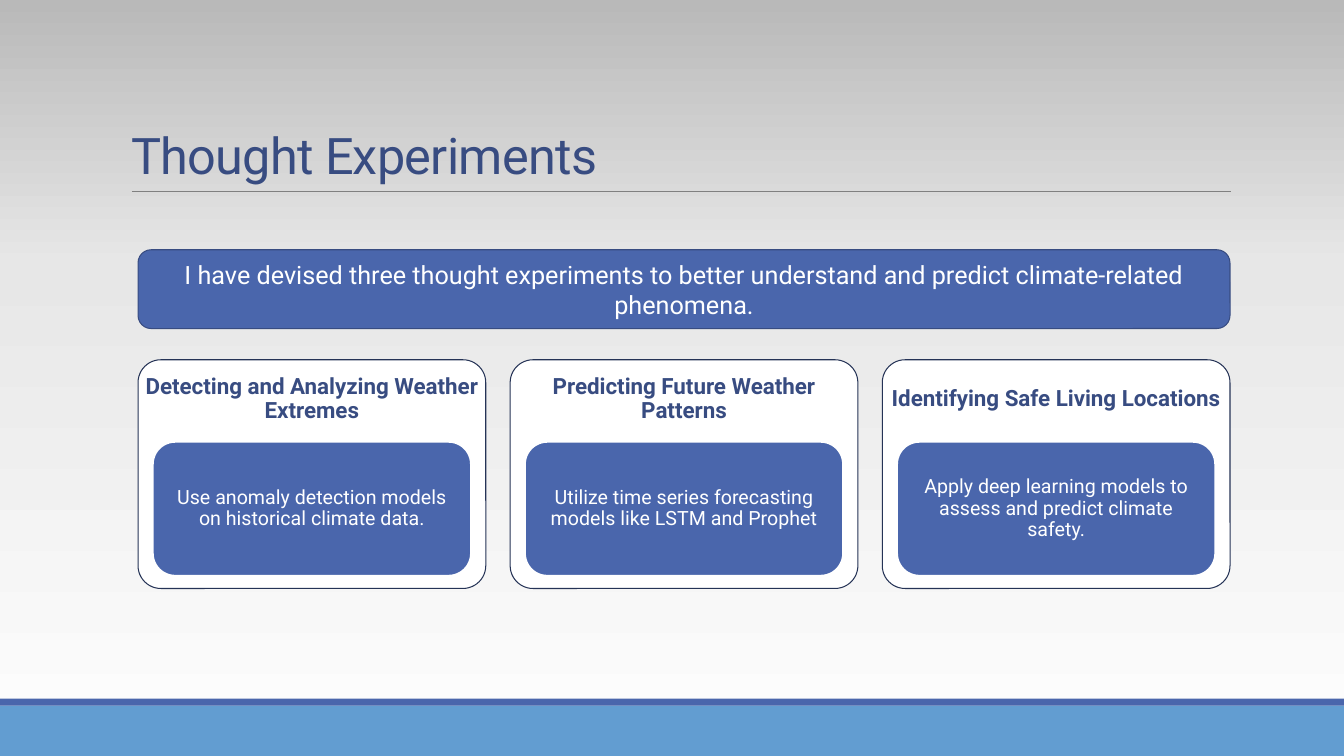
"""Build the Thought Experiments slide: a banner above three cards."""
import copy

import pptx
import pptx.dml.color
import pptx.enum.shapes
import pptx.enum.text
import pptx.oxml.ns
import pptx.util

Pt = pptx.util.Pt
RGBColor = pptx.dml.color.RGBColor
SHAPE = pptx.enum.shapes.MSO_SHAPE
ANCHOR = pptx.enum.text.MSO_ANCHOR
ALIGN = pptx.enum.text.PP_ALIGN
qn = pptx.oxml.ns.qn

WHITE = RGBColor(0xFF, 0xFF, 0xFF)
BLUE = RGBColor(0x4A, 0x66, 0xAC)
DARK_BLUE = RGBColor(0x38, 0x4C, 0x81)
NAVY = RGBColor(0x25, 0x33, 0x56)
SKY = RGBColor(0x62, 0x9D, 0xD1)
GRAY = RGBColor(0x80, 0x80, 0x80)
BACKGROUND = [
    (0, RGBColor(0xFE, 0xFE, 0xFE)),
    (0.65, RGBColor(0xE7, 0xE7, 0xE7)),
    (1, RGBColor(0xB9, 0xB9, 0xB9)),
]

CARDS = [
    ("Detecting and Analyzing Weather Extremes",
     "Use anomaly detection models on historical climate data.", 203),
    ("Predicting Future Weather Patterns",
     "Utilize time series forecasting models like LSTM and Prophet", 201.6),
    ("Identifying Safe Living Locations",
     "Apply deep learning models to assess and predict climate safety.", 193),
]
LEFT, CARD_TOP, CARD_WIDTH, CARD_HEIGHT, CARD_STEP = 98.6, 257, 248.4, 163.4, 265.8
PANEL_TOP, PANEL_WIDTH, PANEL_HEIGHT = 315.6, 227.2, 95.6


def add_panel(shapes, kind, left, top, width, height, fill, line=None, weight=0.75):
    box = shapes.add_shape(kind, Pt(left), Pt(top), Pt(width), Pt(height))
    box.shadow.inherit = False
    box.fill.solid()
    box.fill.fore_color.rgb = fill
    if line is None:
        box.line.fill.background()
    else:
        box.line.color.rgb = line
        box.line.width = Pt(weight)
    return box


def write(box, text, size, color, inset, spacing=0.9, bold=False, align=ALIGN.CENTER,
          anchor=ANCHOR.MIDDLE):
    frame = box.text_frame
    frame.word_wrap = True
    frame.auto_size = pptx.enum.text.MSO_AUTO_SIZE.NONE
    frame.vertical_anchor = anchor
    frame.margin_left = frame.margin_right = Pt(inset)
    frame.margin_top = frame.margin_bottom = Pt(min(inset, 5))
    para = frame.paragraphs[0]
    para.text = text
    para.alignment = align
    para.line_spacing = spacing
    para.font.name = "Roboto"
    para.font.size = Pt(size)
    para.font.bold = bold
    para.font.color.rgb = color
    return para


deck = pptx.Presentation()
deck.slide_width, deck.slide_height = Pt(960), Pt(540)
page = deck.slides.add_slide(deck.slide_layouts[5])

fill = page.background.fill
fill.gradient()
fill.gradient_angle = 90
stop_list = page.element.find(".//" + qn("a:gsLst"))
stop_list.append(copy.deepcopy(stop_list[0]))
for stop, (position, color) in zip(fill.gradient_stops, BACKGROUND):
    stop.position = position
    stop.color.rgb = color

add_panel(page.shapes, SHAPE.RECTANGLE, 0, 504, 960, 36, SKY)
add_panel(page.shapes, SHAPE.RECTANGLE, 0, 499, 960, 5, BLUE)

rule = page.shapes.add_connector(
    pptx.enum.shapes.MSO_CONNECTOR.STRAIGHT, Pt(94.3), Pt(136.8), Pt(879), Pt(136.8))
rule.line.color.rgb = GRAY
rule.line.width = Pt(0.5)
rule.element.spPr.append(pptx.oxml.parse_xml(
    '<a:effectLst xmlns:a="http://schemas.openxmlformats.org/drawingml/2006/main"/>'))

title = page.shapes.title
title.left, title.top, title.width, title.height = Pt(86.6), Pt(22.3), Pt(792), Pt(114.5)
para = write(title, "Thought Experiments", 36, DARK_BLUE, 7.2, 0.85,
             align=ALIGN.LEFT, anchor=ANCHOR.BOTTOM)
para.runs[0].font.size = Pt(36)
para.runs[0].font._element.set("spc", "-50")

banner = add_panel(page.shapes, SHAPE.ROUNDED_RECTANGLE, LEFT, 178.4, 780, 56.3, BLUE, DARK_BLUE)
write(banner, "I have devised three thought experiments to better understand and predict "
      "climate-related phenomena.", 18, WHITE, 7.2, 1)

for index, (heading, method, text_width) in enumerate(CARDS):
    left = LEFT + index * CARD_STEP
    card = add_panel(page.shapes, SHAPE.ROUNDED_RECTANGLE, left, CARD_TOP,
                     CARD_WIDTH, CARD_HEIGHT, WHITE, NAVY)
    card.adjustments[0] = 0.1
    label = page.shapes.add_textbox(Pt(left), Pt(CARD_TOP), Pt(CARD_WIDTH), Pt(56.9))
    write(label, heading, 16, DARK_BLUE, 5, bold=True)

    group = page.shapes.add_group_shape()
    add_panel(group.shapes, SHAPE.ROUNDED_RECTANGLE, left + (CARD_WIDTH - PANEL_WIDTH) / 2,
              PANEL_TOP, PANEL_WIDTH, PANEL_HEIGHT, BLUE, WHITE, 1.25)
    body = group.shapes.add_textbox(Pt(left + (CARD_WIDTH - text_width) / 2), Pt(PANEL_TOP),
                                    Pt(text_width), Pt(PANEL_HEIGHT))
    write(body, method, 14, WHITE, 2.2)

deck.save("out.pptx")
